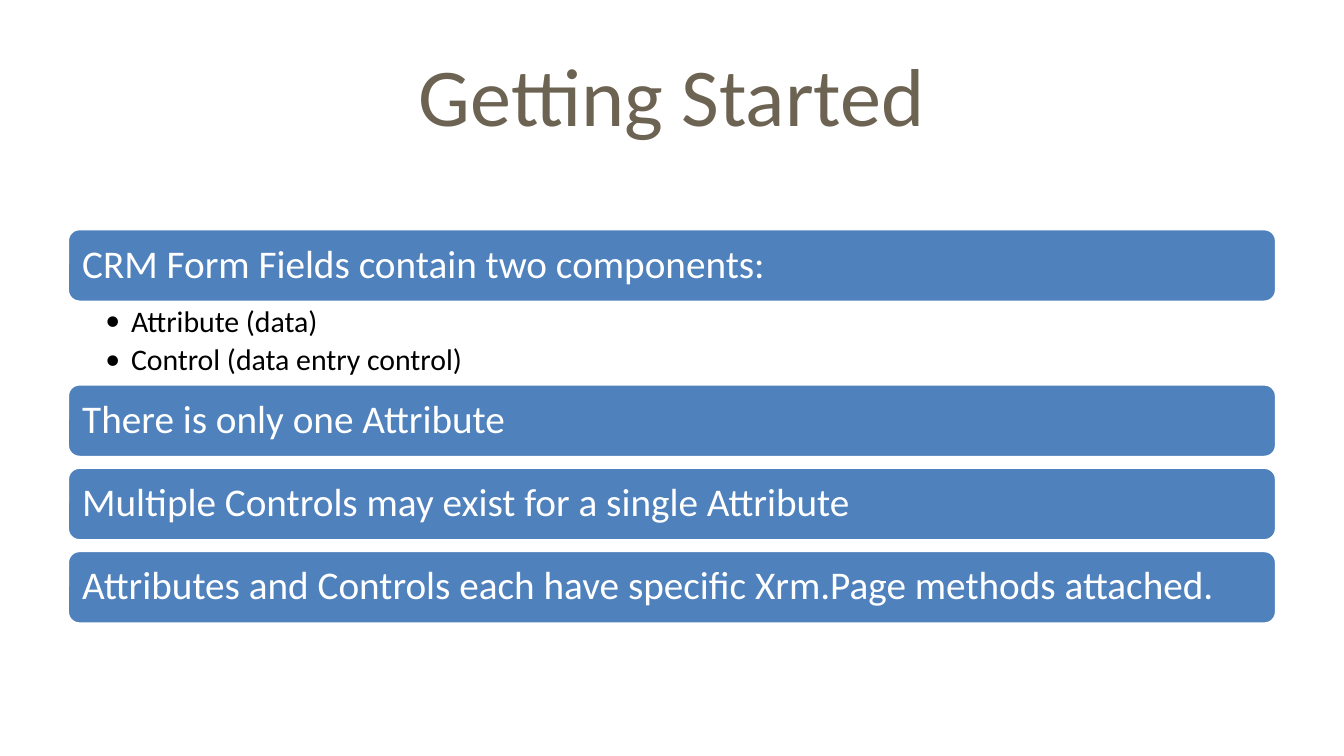
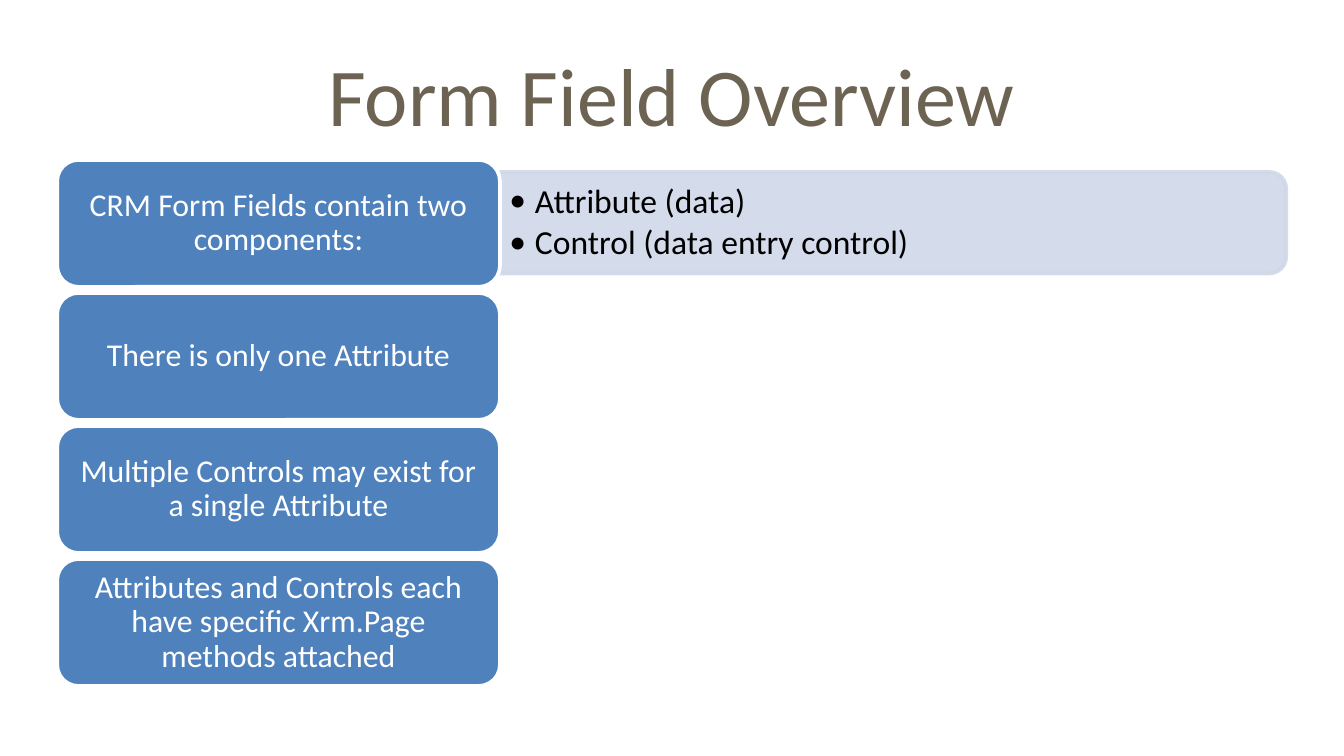
from dataclasses import dataclass
from typing import NamedTuple

from lxml.etree import SubElement
from pptx import Presentation
from pptx.dml.color import RGBColor
from pptx.enum.shapes import MSO_SHAPE
from pptx.enum.text import MSO_ANCHOR, MSO_AUTO_SIZE, PP_ALIGN
from pptx.oxml.ns import qn
from pptx.presentation import Presentation as Deck
from pptx.shapes.autoshape import Shape
from pptx.slide import Slide
from pptx.text.text import TextFrame
from pptx.util import Emu, Pt


@dataclass(frozen=True)
class Theme:
    """Colours, font and type sizes shared by the slides."""

    font: str = "Calibri"
    title: str = "6C6352"
    box: str = "4F81BD"
    panel: str = "D0D8E8"
    light: str = "FFFFFF"
    dark: str = "000000"
    title_size: int = 44
    bar_size: int = 21
    card_size: int = 17
    bar_list_size: int = 16
    panel_list_size: int = 18
    outline: int = 2
    panel_opacity: int = 90
    line_spacing: float = 0.9


class Frame(NamedTuple):
    """Left, top, width and height in px, 200 to the inch."""

    left: int
    top: int
    width: int
    height: int


class Insets(NamedTuple):
    """Text margins in px."""

    left: int
    top: int
    right: int
    bottom: int


@dataclass(frozen=True)
class TextStyle:
    """How a block of text is set; gap is a share of the type size."""

    size: int
    color: str
    insets: Insets
    gap: float
    align: PP_ALIGN = PP_ALIGN.LEFT
    anchor: MSO_ANCHOR = MSO_ANCHOR.MIDDLE
    bulleted: bool = False


THEME = Theme()
EMU_PER_PX = 4572
PAGE_WIDTH, PAGE_HEIGHT = 2000, 1125
TITLE_FRAME = Frame(100, 45, 1800, 188)
BULLET_INDENT = 38

BAR = Frame(100, 340, 1800, 110)
BAR_PITCH = 124
BAR_LIST = Frame(100, 450, 1800, 121)
CARD = Frame(85, 238, 659, 189)
CARD_PITCH = 198
PANEL = Frame(744, 256, 1170, 151)
PANEL_LIST = Frame(744, 264, 1164, 136)

CARD_INSETS = Insets(14, 8, 14, 8)
BAR_STYLE = TextStyle(THEME.bar_size, THEME.light, Insets(17, 17, 17, 17), 0.35)
CARD_STYLE = TextStyle(THEME.card_size, THEME.light, CARD_INSETS, 0.35, PP_ALIGN.CENTER)
BAR_LIST_STYLE = TextStyle(THEME.bar_list_size, THEME.dark, Insets(57, 6, 32, 6), 0.2,
                           anchor=MSO_ANCHOR.TOP, bulleted=True)
PANEL_LIST_STYLE = TextStyle(THEME.panel_list_size, THEME.dark, CARD_INSETS, 0.15,
                             bulleted=True)

COMPONENTS = ["Attribute (data)", "Control (data entry control)"]
POINTS = [
    "CRM Form Fields contain two components:",
    "There is only one Attribute",
    "Multiple Controls may exist for a single Attribute",
    "Attributes and Controls each have specific Xrm.Page methods attached",
]


def px(length: float) -> Emu:
    """Turn px into EMU."""
    return Emu(round(length * EMU_PER_PX))


def add_span(para, text: str, size: int, color: str) -> None:
    """Add one formatted run to a paragraph."""
    span = para.add_run()
    span.text = text
    span.font.name = THEME.font
    span.font.size = Pt(size)
    span.font.color.rgb = RGBColor.from_string(color)


def add_bullet(para) -> None:
    """Give a paragraph a hanging bullet."""
    para.level = 1
    properties = para._p.get_or_add_pPr()
    properties.set("marL", str(px(BULLET_INDENT)))
    properties.set("indent", str(px(-BULLET_INDENT)))
    SubElement(properties, qn("a:buFont")).set("typeface", THEME.font)
    SubElement(properties, qn("a:buChar")).set("char", "•")


def write(frame: TextFrame, lines: list[str], style: TextStyle) -> None:
    """Fill a text frame with one paragraph per line."""
    frame.word_wrap = True
    frame.vertical_anchor = style.anchor
    frame.margin_left, frame.margin_top, frame.margin_right, frame.margin_bottom = map(
        px, style.insets)
    for index, line in enumerate(lines):
        para = frame.add_paragraph() if index else frame.paragraphs[0]
        if style.bulleted:
            add_bullet(para)
        para.alignment = style.align
        para.line_spacing = THEME.line_spacing
        para.space_after = Pt(style.size * style.gap)
        add_span(para, line, style.size, style.color)


def add_box(page: Slide, preset: MSO_SHAPE, frame: Frame, fill: str, line: str) -> Shape:
    """Add a filled and outlined preset shape."""
    box = page.shapes.add_shape(preset, *map(px, frame))
    box.shadow.inherit = False
    box.fill.solid()
    box.fill.fore_color.rgb = RGBColor.from_string(fill)
    box.line.color.rgb = RGBColor.from_string(line)
    box.line.width = Pt(THEME.outline)
    return box


def add_stack(page: Slide, first: Frame, tops: list[int], lines: list[str],
              style: TextStyle) -> None:
    """Add one rounded text box for each top."""
    for top, line in zip(tops, lines, strict=True):
        box = add_box(page, MSO_SHAPE.ROUNDED_RECTANGLE, first._replace(top=top),
                      THEME.box, THEME.light)
        write(box.text_frame, [line], style)


def add_list(page: Slide, frame: Frame, style: TextStyle) -> None:
    """Add the bulleted list of field components."""
    box = page.shapes.add_textbox(*map(px, frame))
    write(box.text_frame, COMPONENTS, style)


def add_panel(page: Slide, frame: Frame) -> None:
    """Add a translucent panel rounded on its right side."""
    shift = (frame.width - frame.height) / 2
    upright = (frame.left + shift, frame.top - shift, frame.height, frame.width)
    panel = add_box(page, MSO_SHAPE.ROUND_2_SAME_RECTANGLE, upright,
                    THEME.panel, THEME.panel)
    panel.rotation = 90
    for color in panel._element.spPr.iter(qn("a:srgbClr")):
        SubElement(color, qn("a:alpha")).set("val", str(THEME.panel_opacity * 1000))


def add_page(deck: Deck, heading: str) -> Slide:
    """Add a title-only slide with its heading."""
    page = deck.slides.add_slide(deck.slide_layouts[5])
    title = page.shapes.title
    title.left, title.top, title.width, title.height = map(px, TITLE_FRAME)
    title.text_frame.auto_size = MSO_AUTO_SIZE.NONE
    title.text_frame.vertical_anchor = MSO_ANCHOR.MIDDLE
    para = title.text_frame.paragraphs[0]
    para.alignment = PP_ALIGN.CENTER
    add_span(para, heading, THEME.title_size, THEME.title)
    return page


def build_getting_started(deck: Deck) -> None:
    """Build the slide of full-width bars."""
    page = add_page(deck, "Getting Started")
    after_list = BAR_LIST.top + BAR_LIST.height
    tops = [BAR.top] + [after_list + BAR_PITCH * row for row in range(len(POINTS) - 1)]
    add_stack(page, BAR, tops, [*POINTS[:-1], POINTS[-1] + "."], BAR_STYLE)
    add_list(page, BAR_LIST, BAR_LIST_STYLE)


def build_overview(deck: Deck) -> None:
    """Build the slide of cards with a side panel."""
    page = add_page(deck, "Form Field Overview")
    add_panel(page, PANEL)
    add_list(page, PANEL_LIST, PANEL_LIST_STYLE)
    tops = [CARD.top + CARD_PITCH * row for row in range(len(POINTS))]
    add_stack(page, CARD, tops, POINTS, CARD_STYLE)


def main() -> None:
    """Build and save the deck."""
    deck = Presentation()
    deck.slide_width, deck.slide_height = px(PAGE_WIDTH), px(PAGE_HEIGHT)
    build_getting_started(deck)
    build_overview(deck)
    deck.save("out.pptx")


if __name__ == "__main__":
    main()
